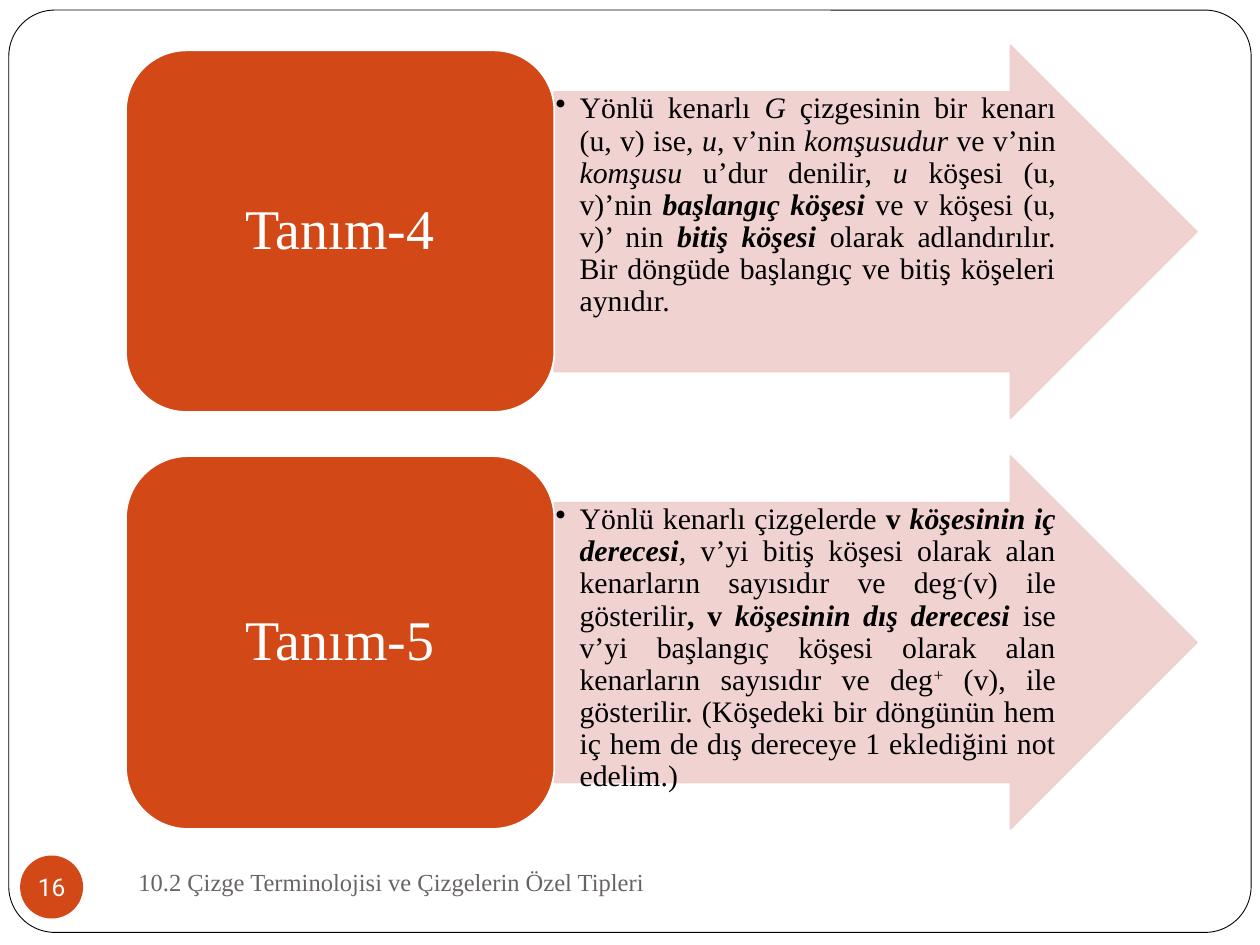
"""Build a slide with two graph theory definitions, each a label and an arrow."""
from lxml.etree import SubElement
from pptx import Presentation
from pptx.dml.color import RGBColor
from pptx.enum.shapes import MSO_SHAPE
from pptx.enum.text import MSO_ANCHOR, PP_ALIGN
from pptx.oxml.ns import qn
from pptx.util import Inches, Pt

ORANGE = RGBColor(0xD3, 0x48, 0x17)
PINK = RGBColor(0xEF, 0xCF, 0xCC)
GRAY = RGBColor(0x69, 0x64, 0x64)
WHITE = RGBColor(0xFF, 0xFF, 0xFF)
BLACK = RGBColor(0, 0, 0)
SERIF = "Times New Roman"

FOOTER = "10.2 Çizge Terminolojisi ve Çizgelerin Özel Tipleri"
PAGE_NUMBER = "16"
PLAIN, ITALIC, BOLD, BOLD_ITALIC, SUPER = "", "i", "b", "bi", "^"
DEFINITIONS = [
    {"label": "Tanım-4", "label_top": 0.4, "label_height": 2.87, "arrow_top": 0.36, "spans": [
        ("Yönlü kenarlı ", PLAIN), ("G ", ITALIC),
        ("çizgesinin bir kenarı (u, v) ise, ", PLAIN), ("u", ITALIC),
        (", v’nin ", PLAIN), ("komşusudur ", ITALIC),
        ("ve v’nin ", PLAIN), ("komşusu ", ITALIC),
        ("u’dur denilir, ", PLAIN), ("u ", ITALIC),
        ("köşesi (u, v)’nin ", PLAIN), ("başlangıç köşesi ", BOLD_ITALIC),
        ("ve v köşesi (u, v)’ nin ", PLAIN), ("bitiş köşesi ", BOLD_ITALIC),
        ("olarak adlandırılır. Bir döngüde başlangıç ve bitiş köşeleri aynıdır. ", PLAIN)]},
    {"label": "Tanım-5", "label_top": 3.62, "label_height": 2.96, "arrow_top": 3.62, "spans": [
        ("Yönlü kenarlı çizgelerde ", PLAIN), ("v ", BOLD),
        ("köşesinin iç derecesi", BOLD_ITALIC), (", ", ITALIC),
        ("v’yi bitiş köşesi olarak alan kenarların sayısıdır ve deg", PLAIN), ("-", SUPER),
        ("(v) ile gösterilir", PLAIN), (", v ", BOLD),
        ("köşesinin dış derecesi ", BOLD_ITALIC),
        ("ise v’yi başlangıç köşesi olarak alan kenarların sayısıdır ve deg", PLAIN),
        ("+", SUPER),
        (" (v), ile gösterilir. (Köşedeki bir döngünün hem iç hem de dış dereceye 1 "
         "eklediğini not edelim.)", PLAIN)]},
]
LABEL_LEFT, LABEL_WIDTH = 1, 3.4
ARROW_LEFT, ARROW_WIDTH, ARROW_HEIGHT = LABEL_LEFT + LABEL_WIDTH, 5.1, 2.96
BODY_WIDTH, BODY_HEIGHT, BODY_INDENT = 3.99, 2.22, 0.19


def add_box(page, kind, place, fill, line=None, line_width=1):
    box = page.shapes.add_shape(kind, *map(Inches, place))
    box.shadow.inherit = False
    box.fill.solid()
    box.fill.fore_color.rgb = fill
    if line is None:
        box.line.fill.background()
    else:
        box.line.color.rgb = line
        box.line.width = Pt(line_width)
    return box


def set_margins(frame, margin):
    frame.margin_left = frame.margin_right = Inches(margin)
    frame.margin_top = frame.margin_bottom = Inches(margin)


def style(span, size, color, name=SERIF):
    span.font.size = Pt(size)
    span.font.name = name
    span.font.color.rgb = color


def write(box, text, size, color, align, name=SERIF):
    frame = box.text_frame
    frame.text = text
    frame.vertical_anchor = MSO_ANCHOR.MIDDLE
    para = frame.paragraphs[0]
    para.alignment = align
    style(para.runs[0], size, color, name)


def add_arrow(page, top):
    place = (ARROW_LEFT, top, ARROW_WIDTH, ARROW_HEIGHT)
    arrow = add_box(page, MSO_SHAPE.RIGHT_ARROW, place, PINK, PINK)
    arrow.adjustments[0] = 0.75
    arrow.adjustments[1] = 0.5
    for color in arrow._element.spPr.iter(qn("a:srgbClr")):
        SubElement(color, qn("a:alpha"), val="90000")


def add_body(page, arrow_top, spans):
    top = arrow_top + (ARROW_HEIGHT - BODY_HEIGHT) / 2
    box = page.shapes.add_textbox(*map(Inches, (ARROW_LEFT, top, BODY_WIDTH, BODY_HEIGHT)))
    frame = box.text_frame
    frame.word_wrap = True
    set_margins(frame, 0.01)
    para = frame.paragraphs[0]
    para.alignment = PP_ALIGN.JUSTIFY
    para.line_spacing = 0.9
    properties = para._p.get_or_add_pPr()
    properties.set("marL", str(Inches(BODY_INDENT)))
    properties.set("indent", str(-Inches(BODY_INDENT)))
    SubElement(properties, qn("a:buChar"), char="•")
    for text, marks in spans:
        span = para.add_run()
        span.text = text
        style(span, 17, BLACK)
        span.font.bold = "b" in marks
        span.font.italic = "i" in marks
        if marks == SUPER:
            span._r.get_or_add_rPr().set("baseline", "30000")


def main():
    deck = Presentation()
    deck.slide_width, deck.slide_height = Inches(10), Inches(7.5)
    page = deck.slides.add_slide(deck.slide_layouts[6])

    frame = add_box(page, MSO_SHAPE.ROUNDED_RECTANGLE, (0.07, 0.08, 9.86, 7.32), WHITE, BLACK, 0.5)
    frame.adjustments[0] = 0.05

    footer = page.shapes.add_textbox(*map(Inches, (1, 6.75, 4.33, 0.5)))
    footer.text_frame.word_wrap = True
    write(footer, FOOTER, 14, GRAY, PP_ALIGN.LEFT)

    badge = add_box(page, MSO_SHAPE.OVAL, (0.16, 6.79, 0.5, 0.5), ORANGE)
    write(badge, PAGE_NUMBER, 14, WHITE, PP_ALIGN.CENTER, "Roboto")
    set_margins(badge.text_frame, 0)
    badge.text_frame.word_wrap = False

    for item in DEFINITIONS:
        add_arrow(page, item["arrow_top"])
        add_body(page, item["arrow_top"], item["spans"])
        place = (LABEL_LEFT, item["label_top"], LABEL_WIDTH, item["label_height"])
        label = add_box(page, MSO_SHAPE.ROUNDED_RECTANGLE, place, ORANGE, WHITE)
        write(label, item["label"], 32, WHITE, PP_ALIGN.CENTER)
        label.text_frame.paragraphs[0].line_spacing = 0.9

    deck.save("out.pptx")


if __name__ == "__main__":
    main()
